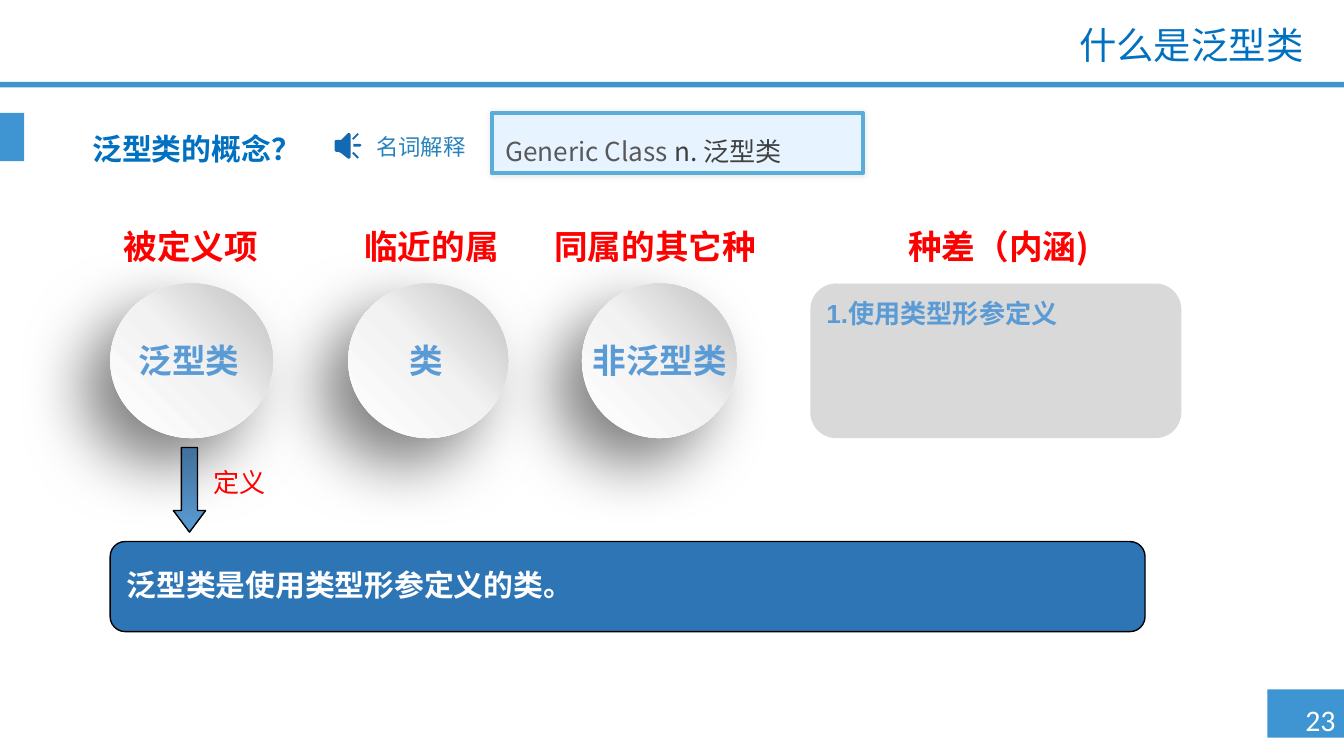
import pptx
import pptx.util
import pptx.oxml
import pptx.oxml.ns
from pptx.dml.color import RGBColor
from pptx.enum.shapes import MSO_SHAPE
from pptx.enum.text import MSO_ANCHOR, MSO_AUTO_SIZE, PP_ALIGN

Inches, Pt = pptx.util.Inches, pptx.util.Pt
qn = pptx.oxml.ns.qn

WHITE = RGBColor(0xFF, 0xFF, 0xFF)
BLACK = RGBColor(0, 0, 0)
RED = RGBColor(0xFF, 0, 0)
BAR = RGBColor(0x3F, 0x95, 0xD2)
HEAD = RGBColor(0x00, 0x70, 0xC0)
SKY = RGBColor(0x5B, 0x9B, 0xD5)
STEEL = RGBColor(0x41, 0x71, 0x9C)
NAVY = RGBColor(0x2E, 0x75, 0xB6)
TERM = RGBColor(0x28, 0x83, 0xBC)
SOUND = RGBColor(0x13, 0x6A, 0xB3)
PALE = RGBColor(0xE7, 0xF4, 0xFF)
EDGE = RGBColor(0x5A, 0xAD, 0xD6)
DARK = RGBColor(0x40, 0x40, 0x40)
GREY = RGBColor(0x59, 0x59, 0x59)
SILVER = RGBColor(0xD9, 0xD9, 0xD9)
MIST = RGBColor(0xF2, 0xF2, 0xF2)
ASH = RGBColor(0xBF, 0xBF, 0xBF)
CJK = "Noto Sans CJK SC"
LEFT, MID, RIGHT = PP_ALIGN.LEFT, PP_ALIGN.CENTER, PP_ALIGN.RIGHT


def write(shape, runs, size, bold=False, align=MID, font=CJK, wrap=True, pad=0.1):
    """Fill a shape with one paragraph of (text, colour) runs."""
    frame = shape.text_frame
    frame.word_wrap = wrap
    frame.vertical_anchor = MSO_ANCHOR.MIDDLE
    frame.margin_left = frame.margin_right = Inches(pad)
    frame.margin_top = frame.margin_bottom = Inches(pad / 2)
    para = frame.paragraphs[0]
    para.alignment = align
    for text, color in runs:
        run = para.add_run()
        run.text = text
        run.font.size = Pt(size)
        run.font.bold = bold
        run.font.color.rgb = color
        run.font.name = font
        east = pptx.oxml.parse_xml(
            f'<a:ea {pptx.oxml.ns.nsdecls("a")} typeface="{CJK}"/>')
        run.font._element.append(east)
    return para


def draw(kind, box, stops, line=None, width=0.75, shade=None):
    """Add a preset shape; stops is a colour or a list of (place, colour),
    shade is (alpha %, blur pt, distance pt, angle)."""
    shape = slide.shapes.add_shape(kind, *map(Inches, box))
    shape.shadow.inherit = False
    props = shape._element.spPr
    if isinstance(stops, list):
        shape.fill.gradient()
        group = props.find(".//" + qn("a:gsLst"))
        for stop in list(group):
            group.remove(stop)
        for place, color in stops:
            group.append(pptx.oxml.parse_xml(
                f'<a:gs {pptx.oxml.ns.nsdecls("a")} pos="{place * 1000}">'
                f'<a:srgbClr val="{color}"/></a:gs>'))
    else:
        shape.fill.solid()
        shape.fill.fore_color.rgb = stops
    if line is None:
        shape.line.fill.background()
    else:
        shape.line.color.rgb = line
        shape.line.width = Pt(width)
    if shade:
        alpha, blur, dist, angle = shade
        props.find(qn("a:effectLst")).append(pptx.oxml.parse_xml(
            f'<a:outerShdw {pptx.oxml.ns.nsdecls("a")} blurRad="{Pt(blur)}" '
            f'dist="{Pt(dist)}" dir="{angle * 60000}" algn="ctr" rotWithShape="0">'
            f'<a:srgbClr val="000000"><a:alpha val="{alpha * 1000}"/></a:srgbClr>'
            '</a:outerShdw>'))
    return shape


deck = pptx.Presentation()
deck.slide_width, deck.slide_height = Inches(10), Inches(10 * 9 / 16)
slide = deck.slides.add_slide(deck.slide_layouts[5])

# Page frame
for box in [(9.43, 5.13, 0.57, 0.36), (0, 0.61, 10, 0.04), (0, 0.84, 0.18, 0.36)]:
    draw(MSO_SHAPE.RECTANGLE, box, BAR)

title = slide.shapes.title
title.left, title.top = Inches(2.4), Inches(0.15)
title.width, title.height = Inches(7.4), Inches(0.4)
title.text_frame.auto_size = MSO_AUTO_SIZE.NONE
write(title, [("什么是泛型类", HEAD)], 20, align=RIGHT, font="Arial").line_spacing = 0.9

# Circles with their shadows
blend = [(0, WHITE), (51, MIST), (100, ASH)]
for left, width in [(0.82, 1.21), (2.59, 1.19), (4.33, 1.15)]:
    ball = draw(MSO_SHAPE.OVAL, (left, 2.11, width, 1.15), blend, shade=(50, 35, 20, 135))
    ball.fill.gradient_angle = 45

# Panels and arrow
draw(MSO_SHAPE.ROUNDED_RECTANGLE, (6.03, 2.11, 2.76, 1.15), SILVER)
arrow = draw(MSO_SHAPE.DOWN_ARROW, (1.29, 3.33, 0.24, 0.63),
             [(0, STEEL), (100, SKY)], BLACK)
arrow.fill.gradient_angle = 270
arrow.adjustments[1] = 0.67
result = draw(MSO_SHAPE.ROUNDED_RECTANGLE, (0.82, 4.03, 7.7, 0.67), NAVY, BLACK)
write(result, [("泛型类是使用类型形参定义的类。", WHITE)], 16, True, LEFT,
      pad=0.09).line_spacing = 0.9
term = draw(MSO_SHAPE.RECTANGLE, (3.66, 0.84, 2.76, 0.45), PALE, EDGE, 2.25, (10, 3, 0, 0))
write(term, [("Generic Class ", GREY), ("n. 泛型类", DARK)], 14,
      align=LEFT).line_spacing = 1.5

# Text boxes: box, text, size, colour, bold, alignment, font, wrap, padding
labels = [
    ((9.59, 5.17, 0.52, 0.37), "23 ", 16, WHITE, False, MID, "Calibri", False, 0.1),
    ((0.59, 0.91, 1.76, 0.39), "泛型类的概念？", 16, HEAD, True, LEFT, CJK, False, 0.1),
    ((2.8, 0.99, 0.67, 0.2), "名词解释", 12, TERM, False, LEFT, CJK, False, 0),
    ((1.37, 3.42, 0.82, 0.34), "定义", 14, RED, False, MID, CJK, True, 0.1),
    ((6.05, 2.16, 2.72, 0.34), "1.使用类型形参定义", 14, SKY, True, LEFT, "Arial", True, 0.1),
]
for left, width, text in [(0.74, 1.36, "被定义项"), (2.45, 1.52, "临近的属"),
                          (4.01, 1.73, "同属的其它种"), (6.46, 1.94, "种差（内涵)")]:
    labels.append(((left, 1.63, width, 0.4), text, 18, RED, True, MID, CJK, True, 0.1))
for left, width, text in [(0.91, 0.99, "泛型类"), (2.74, 0.86, "类"), (4.29, 1.24, "非泛型类")]:
    labels.append(((left, 2.48, width, 0.4), text, 18, SKY, True, MID, "Arial", True, 0.1))
for box, text, size, color, bold, align, font, wrap, pad in labels:
    area = slide.shapes.add_textbox(*map(Inches, box))
    write(area, [(text, color)], size, bold, align, font, wrap, pad)

# Loudspeaker: cone and three sound waves, in hundredths of an inch
cone = [(249, 105), (250, 104), (252.5, 104), (254, 103.5), (259, 99.3), (260, 99),
        (261, 100), (261, 117), (260, 118), (259, 117.5), (254, 113.5),
        (252.5, 113), (250, 113), (249, 112)]
waves = [
    [(263, 107.4), (268.5, 107.4), (269, 108.4), (268.5, 109.4), (263, 109.4)],
    [(262.3, 103), (266, 99), (267.3, 100.3), (263.3, 104.3)],
    [(262.3, 114), (263.3, 112.7), (267.3, 116.7), (266, 118)],
]
pen = slide.shapes.build_freeform(*cone[0], scale=Inches(0.01))
pen.add_line_segments(cone[1:], close=True)
for wave in waves:
    pen.move_to(*wave[0])
    pen.add_line_segments(wave[1:], close=True)
horn = pen.convert_to_shape()
horn.shadow.inherit = False
horn.fill.solid()
horn.fill.fore_color.rgb = SOUND
horn.line.fill.background()

deck.save("out.pptx")
